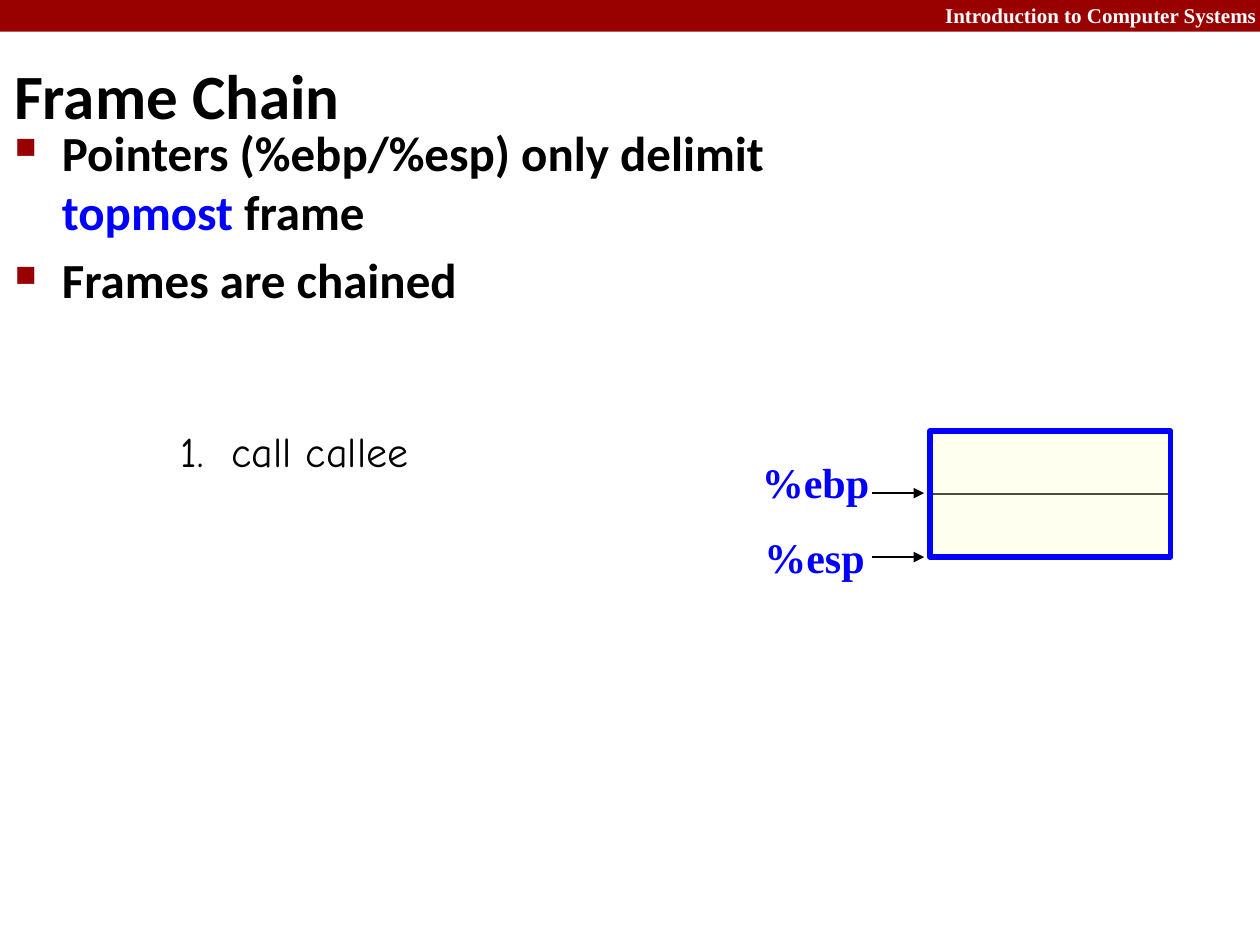
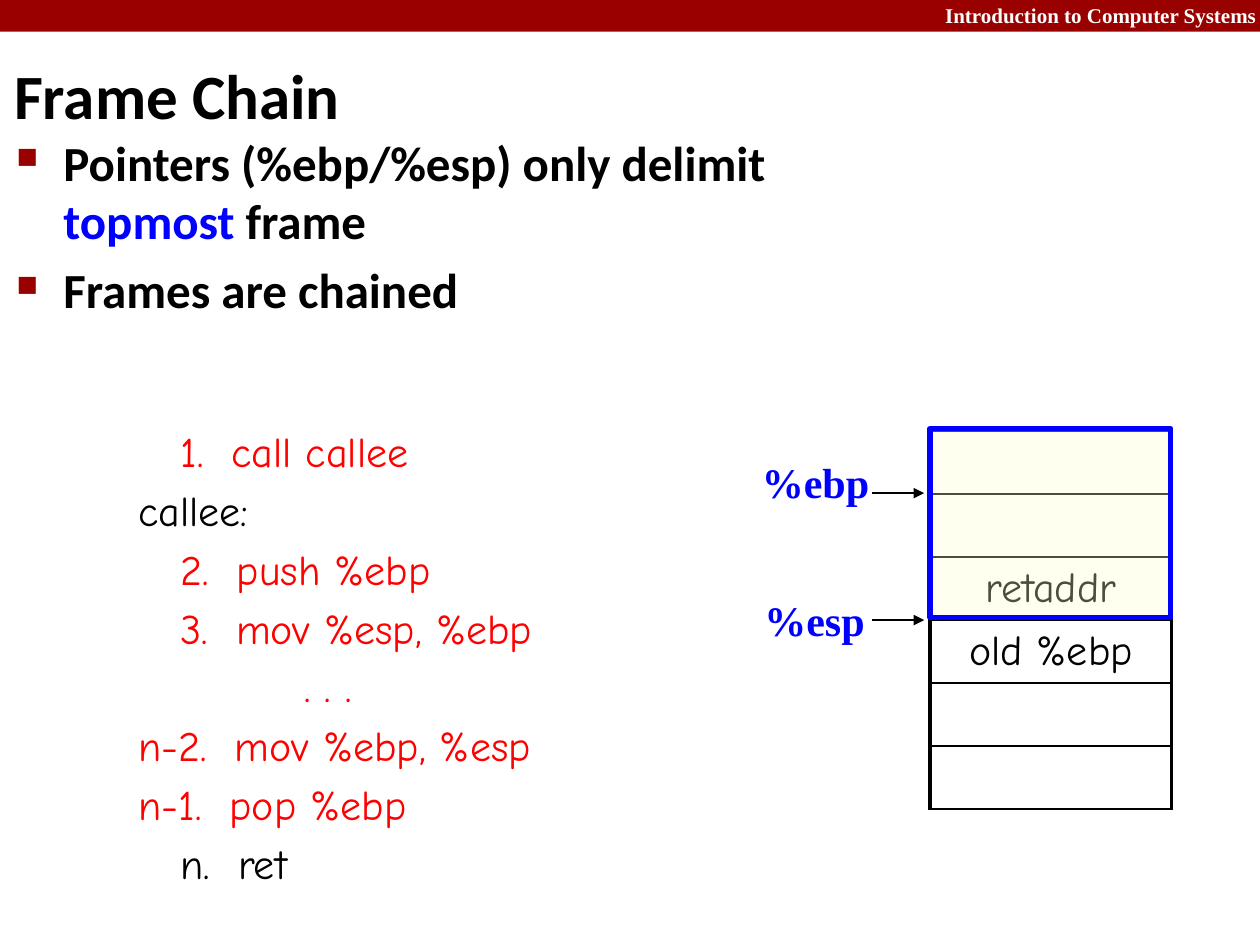
import pptx
import pptx.dml.color
import pptx.enum.shapes
import pptx.enum.text
import pptx.oxml
import pptx.oxml.ns
import pptx.util
from lxml import etree

Cm = pptx.util.Cm
Pt = pptx.util.Pt
RGBColor = pptx.dml.color.RGBColor
ALIGN = pptx.enum.text.PP_ALIGN
ANCHOR = pptx.enum.text.MSO_ANCHOR
RECTANGLE = pptx.enum.shapes.MSO_SHAPE.RECTANGLE
qn = pptx.oxml.ns.qn

BAND_RED = RGBColor(0x99, 0x00, 0x00)
BLACK = RGBColor(0x00, 0x00, 0x00)
WHITE = RGBColor(0xFF, 0xFF, 0xFF)
BLUE = RGBColor(0x00, 0x00, 0xFF)
STEP_RED = RGBColor(0xFF, 0x00, 0x00)
FRAME_YELLOW = RGBColor(0xFF, 0xFF, 0xCC)

HEADER = {"name": "Times New Roman", "size": Pt(12), "bold": True}
TITLE = {"name": "Calibri", "size": Pt(36), "bold": True}
BODY = {"name": "Calibri", "size": Pt(28), "bold": True}
REGISTER = {"name": "Times New Roman", "size": Pt(24), "bold": True}
CODE = {"name": "Comic Neue", "size": Pt(24), "bold": False}

STACK_LEFT, STACK_TOP = 18.75, 8.69
STACK_WIDTH, ROW_HEIGHT = 4.87, 1.27
ELLIPSIS = ". . ."

POINTS = [
    [("Pointers (%ebp/%esp) only delimit ", BLACK), ("topmost ", BLUE),
     ("frame", BLACK)],
    [("Frames are chained", BLACK)],
]
CALL_STEP = "   1.  call callee"
FULL_LISTING = [
    (CALL_STEP, STEP_RED),
    ("callee:", BLACK),
    ("   2.  push %ebp", STEP_RED),
    ("   3.  mov %esp, %ebp", STEP_RED),
    (ELLIPSIS, STEP_RED),
    ("n-2.  mov %ebp, %esp", STEP_RED),
    ("n-1.  pop %ebp", STEP_RED),
    ("   n.  ret", BLACK),
]


def add_span(para, text, style, color):
    span = para.add_run()
    span.text = text
    for name, value in style.items():
        setattr(span.font, name, value)
    span.font.color.rgb = color


def add_text_box(page, left, top, width, height):
    box = page.shapes.add_textbox(Cm(left), Cm(top), Cm(width), Cm(height))
    box.text_frame.word_wrap = True
    return box


def add_paragraphs(frame, count, space):
    """Yield paragraphs with the given space before all but the first."""
    for index in range(count):
        para = frame.add_paragraph() if index else frame.paragraphs[0]
        if index:
            para.space_before = space
        yield para


def set_indent(para, margin, first_line=0):
    properties = para._p.get_or_add_pPr()
    properties.set("marL", str(Cm(margin)))
    properties.set("indent", str(Cm(first_line)))
    return properties


def add_bullet(para):
    properties = set_indent(para, 0.95, -0.95)
    color = etree.SubElement(properties, qn("a:buClr"))
    etree.SubElement(color, qn("a:srgbClr"), val=str(BAND_RED))
    etree.SubElement(properties, qn("a:buSzPct"), val="60000")
    etree.SubElement(properties, qn("a:buChar"), char="■")


def add_rectangle(page, left, top, width, height, color):
    shape = page.shapes.add_shape(
        RECTANGLE, Cm(left), Cm(top), Cm(width), Cm(height))
    shape.shadow.inherit = False
    shape.fill.solid()
    shape.fill.fore_color.rgb = color
    return shape


def put_header_on_layout(page):
    """Draw the course band, then hand it to the layout all slides share."""
    band = add_rectangle(page, 0, 0, 25.4, 0.64, BAND_RED)
    band.line.fill.background()
    box = add_text_box(page, 15.24, -0.08, 10.34, 0.76)
    para = box.text_frame.paragraphs[0]
    para.alignment = ALIGN.RIGHT
    add_span(para, "Introduction to Computer Systems", HEADER, WHITE)
    for shape in (band, box):
        page.slide_layout.shapes.element.append(shape.element)


def add_title(page, text):
    title = page.shapes.title
    bounds = {"left": 0.03, "top": 0.84, "width": 21.08, "height": 2.11}
    for name, value in bounds.items():
        setattr(title, name, Cm(value))
    title.text_frame.vertical_anchor = ANCHOR.MIDDLE
    para = title.text_frame.paragraphs[0]
    para.alignment = ALIGN.LEFT
    add_span(para, text, TITLE, BLACK)


def add_points(page, left, top):
    frame = add_text_box(page, left, top, 16.84, 4.24).text_frame
    paragraphs = add_paragraphs(frame, len(POINTS), Pt(5.6))
    for para, spans in zip(paragraphs, POINTS):
        add_bullet(para)
        for text, color in spans:
            add_span(para, text, BODY, color)


def add_listing(page, steps):
    box = add_text_box(page, 1.27, 8.46, 12.7, 1.24 * len(steps))
    paragraphs = add_paragraphs(box.text_frame, len(steps), Pt(4.8))
    for para, (text, color) in zip(paragraphs, steps):
        set_indent(para, 4.62 if text == ELLIPSIS else 1.27)
        add_span(para, text, CODE, color)


def set_cell_borders(cell):
    properties = cell._tc.get_or_add_tcPr()
    widths = {"a:lnL": 2.25, "a:lnR": 2.25, "a:lnT": 1, "a:lnB": 1}
    for index, (tag, width) in enumerate(widths.items()):
        line = etree.Element(qn(tag), w=str(Pt(width)))
        fill = etree.SubElement(line, qn("a:solidFill"))
        etree.SubElement(fill, qn("a:srgbClr"), val=str(BLACK))
        properties.insert(index, line)


def add_stack(page, labels):
    """Draw the stack as a table with one row for each label."""
    table = page.shapes.add_table(
        len(labels), 1, Cm(STACK_LEFT), Cm(STACK_TOP), Cm(STACK_WIDTH),
        Cm(ROW_HEIGHT * len(labels))).table
    for name in ("first_row", "horz_banding"):
        setattr(table, name, False)
    for row, label in enumerate(labels):
        cell = table.cell(row, 0)
        cell.fill.solid()
        cell.fill.fore_color.rgb = WHITE
        set_cell_borders(cell)
        cell.vertical_anchor = ANCHOR.MIDDLE
        cell.margin_top = cell.margin_bottom = Cm(0.05)
        if label:
            para = cell.text_frame.paragraphs[0]
            para.alignment = ALIGN.CENTER
            add_span(para, label, CODE, BLACK)


def add_frame_highlight(page, top, rows):
    """Cover the topmost frame with a translucent, blue-edged box."""
    shape = add_rectangle(
        page, STACK_LEFT, top, STACK_WIDTH - 0.02, ROW_HEIGHT * rows,
        FRAME_YELLOW)
    color = shape.fill._xPr.find(qn("a:solidFill"))[0]
    etree.SubElement(color, qn("a:alpha"), val="30000")
    shape.line.color.rgb = BLUE
    shape.line.width = Pt(3)


def add_pointer(page, register, left, label_top, arrow_y):
    box = add_text_box(page, left, label_top, 2.69, 1.3)
    add_span(box.text_frame.paragraphs[0], register, REGISTER, BLUE)
    arrow = page.shapes.add_connector(
        pptx.enum.shapes.MSO_CONNECTOR.STRAIGHT,
        Cm(17.58), Cm(arrow_y), Cm(18.63), Cm(arrow_y))
    arrow.line.color.rgb = BLACK
    arrow.line.width = Pt(1.5)
    etree.SubElement(arrow.line._get_or_add_ln(), qn("a:tailEnd"),
                     type="triangle")
    etree.SubElement(arrow.element.spPr, qn("a:effectLst"))


def add_frame_slide(page, points_at, labels, frame_top, frame_rows, steps):
    add_title(page, "Frame Chain")
    add_points(page, *points_at)
    add_stack(page, labels)
    add_frame_highlight(page, frame_top, frame_rows)
    stack_end = STACK_TOP + ROW_HEIGHT * frame_rows
    add_pointer(page, "%ebp", 15.11, 9.07, 9.94)
    add_pointer(page, "%esp", 15.16, stack_end - 1.9 + ROW_HEIGHT, stack_end)
    add_listing(page, steps)


def main():
    deck = pptx.Presentation()
    deck.slide_width, deck.slide_height = Cm(25.4), Cm(19.05)
    title_only = deck.slide_layouts[5]
    before_call, after_call = [
        deck.slides.add_slide(title_only) for _ in range(2)]
    put_header_on_layout(before_call)
    add_frame_slide(before_call, (0.05, 2.34), ["", ""], STACK_TOP, 2,
                    [(CALL_STEP, BLACK)])
    add_frame_slide(after_call, (0.08, 2.54),
                    ["", "", "retaddr", "old %ebp", "", ""],
                    STACK_TOP - 0.05, 3, FULL_LISTING)
    deck.save("out.pptx")


if __name__ == "__main__":
    main()
